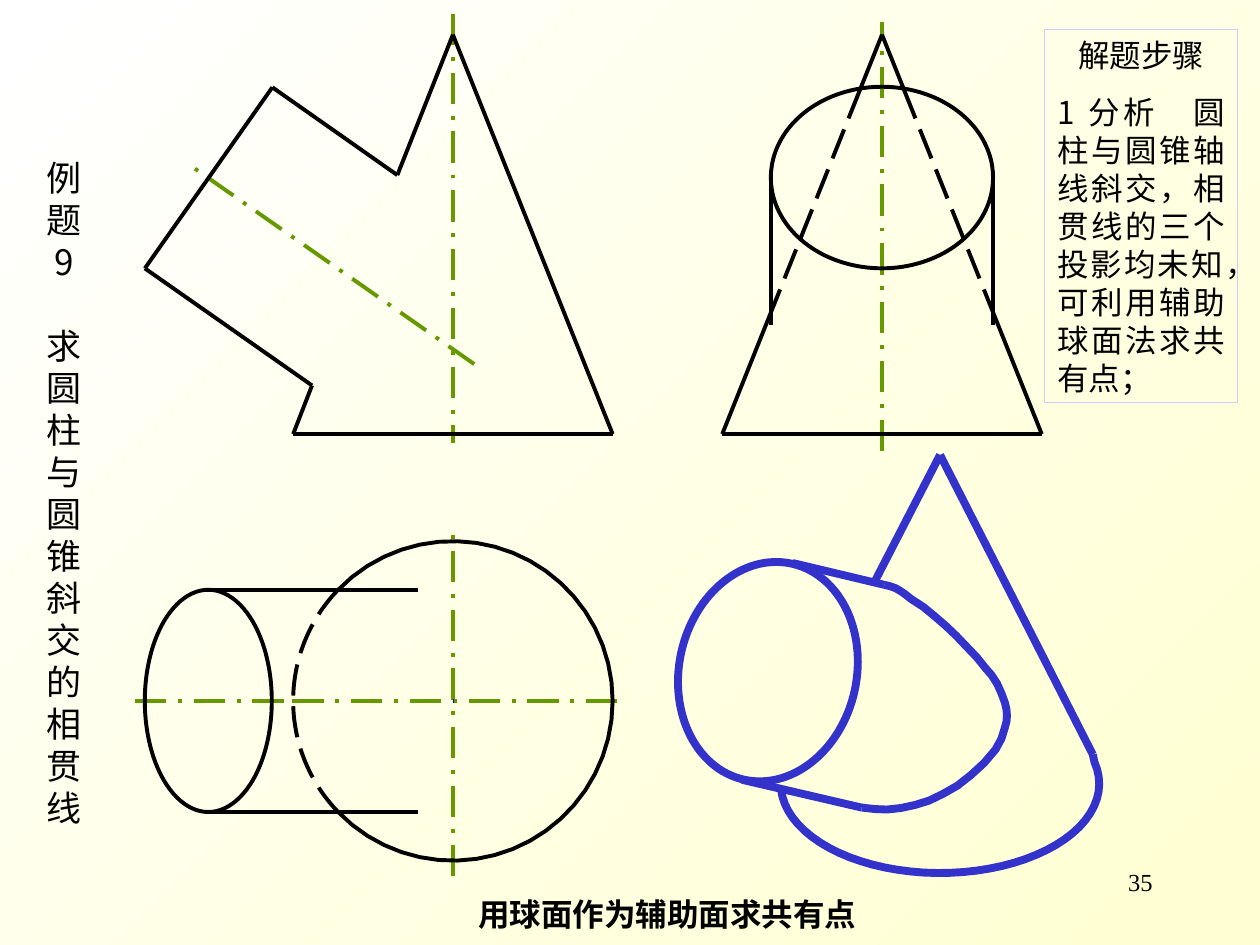
import math
from itertools import pairwise
from lxml import etree
from pptx import Presentation
from pptx import util as u
from pptx.dml.color import RGBColor
from pptx.enum import dml, shapes, text
from pptx.oxml.ns import qn

# Content
TITLE = ["例题9", "求圆柱与圆锥斜交的相贯线"]
STEPS = ["解题步骤",
         "1 分析　圆柱与圆锥轴线斜交，相贯线的三个投影均未知，可利用辅助球面法求共有点；"]
CAPTION = "用球面作为辅助面求共有点"
PAGE = "35"

# Theme: colours, fonts, (size, line pitch) in points
THEME = {
    "cjk": "Noto Sans CJK SC", "latin": "Times New Roman",
    "title": (20, 24), "body": (18, 21.7), "page": (14, None),
    "ink": "000000", "border": "CCCCFF", "back": ("FFFFD1", "FFFFFF"),
}
LONG_DASH = dml.MSO_LINE.LONG_DASH
OUTLINE = ("000000", 2.25, None)
HIDDEN = ("000000", 2.25, LONG_DASH)
AXIS = ("669900", 2.25, dml.MSO_LINE.LONG_DASH_DOT)
CENTRE = ("0000FF", 2.25, None)
MODEL = ("3333CC", 4.5, None)

# Geometry in cm, shared by the three views
FRONT_X, SIDE_X, PLAN_Y = 9.13, 17.78, 14.13
APEX_Y, BASE_Y, CONE_R, TUBE_R = 0.7, 8.75, 3.22, 2.24
TUBE_X, TUBE_Y, TUBE_END = 4.2, 3.58, 8.43   # centres of the cylinder's end face
HIDE_TOP, HIDE_BOTTOM = 1.8, 6.29            # hidden part of the cone's sides
FRONT_OUTLINE = [(FRONT_X, APEX_Y), (8.01, 3.53), (5.49, 1.76), (2.92, 5.41),
                 (6.29, 7.77), (FRONT_X - CONE_R, BASE_Y), (FRONT_X + CONE_R, BASE_Y),
                 (FRONT_X, APEX_Y)]
AXES = [
    (FRONT_X, 0.28, FRONT_X, 8.94), (9.56, 7.34, 3.93, 3.4),
    (SIDE_X, 9.09, SIDE_X, 0.45), (FRONT_X, 17.66, FRONT_X, 10.61),
    (5.72, PLAN_Y, 2.64, PLAN_Y), (5.89, PLAN_Y, 12.65, PLAN_Y),
]
CONE_EDGE = (22.03, 15.21)                   # where the cone's side meets its base
MODEL_LINES = [
    (18.95, 9.17, *CONE_EDGE), (18.95, 9.17, 17.63, 11.73),
    (15.98, 11.35, 17.83, 11.79), (14.96, 15.72, 17.37, 16.28),
]
INTERSECTION = [
    (17.83, 11.79), (17.95, 11.82), (18.06, 11.86), (18.16, 11.92), (18.26, 11.99),
    (18.36, 12.07), (18.62, 12.24), (18.85, 12.43), (19.07, 12.62), (19.28, 12.82),
    (19.48, 13.03), (19.69, 13.25), (19.86, 13.46), (19.99, 13.61), (20.1, 13.78),
    (20.19, 13.98), (20.26, 14.17), (20.29, 14.3), (20.3, 14.43), (20.29, 14.55),
    (20.26, 14.66), (20.19, 14.89), (20.07, 15.11), (19.84, 15.38), (19.58, 15.62),
    (19.3, 15.84), (19, 16.01), (18.73, 16.14), (18.44, 16.23), (18.16, 16.29),
    (17.88, 16.32), (17.63, 16.31), (17.37, 16.28),
]

prs = Presentation()
prs.slide_width, prs.slide_height = u.Cm(25.4), u.Cm(19.05)
slide = prs.slides.add_slide(prs.slide_layouts[5])


def style_line(item, style):
    color, width, dash = style
    item.line.color.rgb = RGBColor.from_string(color)
    item.line.width = u.Pt(width)
    if dash:
        item.line.dash_style = dash


def add_line(x1, y1, x2, y2, style):
    line = slide.shapes.add_connector(shapes.MSO_CONNECTOR.STRAIGHT,
                                      *(u.Cm(v) for v in (x1, y1, x2, y2)))
    style_line(line, style)
    etree.SubElement(line._element.spPr, qn("a:effectLst"))


def finish_outline(item, style):
    item.fill.background()
    item.shadow.inherit = False
    style_line(item, style)


def add_path(points, style):
    points = [(u.Cm(x), u.Cm(y)) for x, y in points]
    builder = slide.shapes.build_freeform(*points[0])
    builder.add_line_segments(points[1:], close=False)
    finish_outline(builder.convert_to_shape(), style)


def add_oval(cx, cy, rx, ry, style, rotation=0):
    oval = slide.shapes.add_shape(
        shapes.MSO_SHAPE.OVAL, *(u.Cm(v) for v in (cx - rx, cy - ry, 2 * rx, 2 * ry)))
    oval.rotation = rotation
    finish_outline(oval, style)


def arc(cx, cy, rx, ry, start, end, steps=40):
    angles = [math.radians(start + (end - start) * i / steps) for i in range(steps + 1)]
    return [(cx + rx * math.cos(a), cy + ry * math.sin(a)) for a in angles]


def place(item, left, top, width, height):
    item.left, item.top, item.width, item.height = (
        u.Cm(v) for v in (left, top, width, height))


def write(item, lines, role, aligns, gap=0, font="cjk", bold=False,
          anchor=text.MSO_ANCHOR.TOP):
    frame = item.text_frame
    frame.word_wrap = True
    frame.auto_size = text.MSO_AUTO_SIZE.NONE
    frame.vertical_anchor = anchor
    size, pitch = THEME[role]
    for i, (line, align) in enumerate(zip(lines, aligns)):
        p = frame.add_paragraph() if i else frame.paragraphs[0]
        p.text = line
        p.alignment = align
        p.space_before = u.Pt(gap if i else 0)
        if pitch:
            p.line_spacing = u.Pt(pitch)
        p.font.size = u.Pt(size)
        p.font.name = THEME[font]
        p.font.bold = bold
        p.font.color.rgb = RGBColor.from_string(THEME["ink"])
        east_asian = etree.SubElement(p._p.pPr.find(qn("a:defRPr")), qn("a:ea"))
        east_asian.set("typeface", THEME[font])


# Background
back = slide.background.fill
back.gradient()
back.gradient_angle = 135
for stop, color in zip(back.gradient_stops, THEME["back"]):
    stop.color.rgb = RGBColor.from_string(color)

# Title, one character per line
CENTER, RIGHT = text.PP_ALIGN.CENTER, text.PP_ALIGN.RIGHT
title = slide.shapes.title
place(title, 0.58, 1.55, 1.42, 16.76)
write(title, TITLE, "title", [CENTER] * 2, gap=24, anchor=text.MSO_ANCHOR.MIDDLE)

# Axes
for axis in AXES:
    add_line(*axis, AXIS)
add_line(FRONT_X, PLAN_Y, FRONT_X + 0.02, PLAN_Y, CENTRE)

# Front view
for corner, following in pairwise(FRONT_OUTLINE):
    add_line(*corner, *following, OUTLINE)

# Side view
add_oval(SIDE_X, TUBE_Y, TUBE_R, 1.83, OUTLINE)
levels = [APEX_Y, HIDE_TOP, HIDE_BOTTOM, BASE_Y]
for side in (-1, 1):
    add_line(SIDE_X, BASE_Y, SIDE_X + side * CONE_R, BASE_Y, OUTLINE)
    add_line(SIDE_X + side * TUBE_R, TUBE_Y, SIDE_X + side * TUBE_R, 6.55, OUTLINE)
    slope = side * CONE_R / (BASE_Y - APEX_Y)
    for (y1, y2), style in zip(pairwise(levels), (OUTLINE, HIDDEN, OUTLINE)):
        add_line(SIDE_X + slope * (y1 - APEX_Y), y1,
                 SIDE_X + slope * (y2 - APEX_Y), y2, style)

# Plan view
covered = math.degrees(math.asin(TUBE_R / CONE_R))
add_path(arc(FRONT_X, PLAN_Y, CONE_R, CONE_R, covered - 180, 180 - covered), OUTLINE)
for side in (-1, 1):
    add_path(arc(FRONT_X, PLAN_Y, CONE_R, CONE_R, 180 + side * covered, 180), HIDDEN)
    add_line(TUBE_X, PLAN_Y + side * TUBE_R, TUBE_END, PLAN_Y + side * TUBE_R, OUTLINE)
add_oval(TUBE_X, PLAN_Y, 1.28, TUBE_R, OUTLINE)

# Pictorial view
add_path([CONE_EDGE, *arc(18.95, 15.8, 3.21, 1.8, -14, 177)], MODEL)
add_path(INTERSECTION, MODEL)
add_oval(15.48, 13.54, 1.79, 2.23, MODEL, rotation=12.4)
for edge in MODEL_LINES:
    add_line(*edge, MODEL)

# Steps box
steps = slide.shapes.add_shape(shapes.MSO_SHAPE.RECTANGLE, 0, 0, 0, 0)
place(steps, 21.06, 0.59, 3.89, 7.52)
finish_outline(steps, (THEME["border"], 0.5, None))
write(steps, STEPS, "body", [CENTER, text.PP_ALIGN.JUSTIFY], gap=11.2)

# Caption and page number
caption = slide.shapes.add_textbox(0, 0, 0, 0)
place(caption, 8.93, 17.91, 9.04, 1.02)
write(caption, [CAPTION], "body", [CENTER], bold=True)
page = slide.shapes.add_textbox(0, 0, 0, 0)
place(page, 18.21, 17.35, 5.28, 1.27)
write(page, [PAGE], "page", [RIGHT], font="latin")

prs.save("out.pptx")
